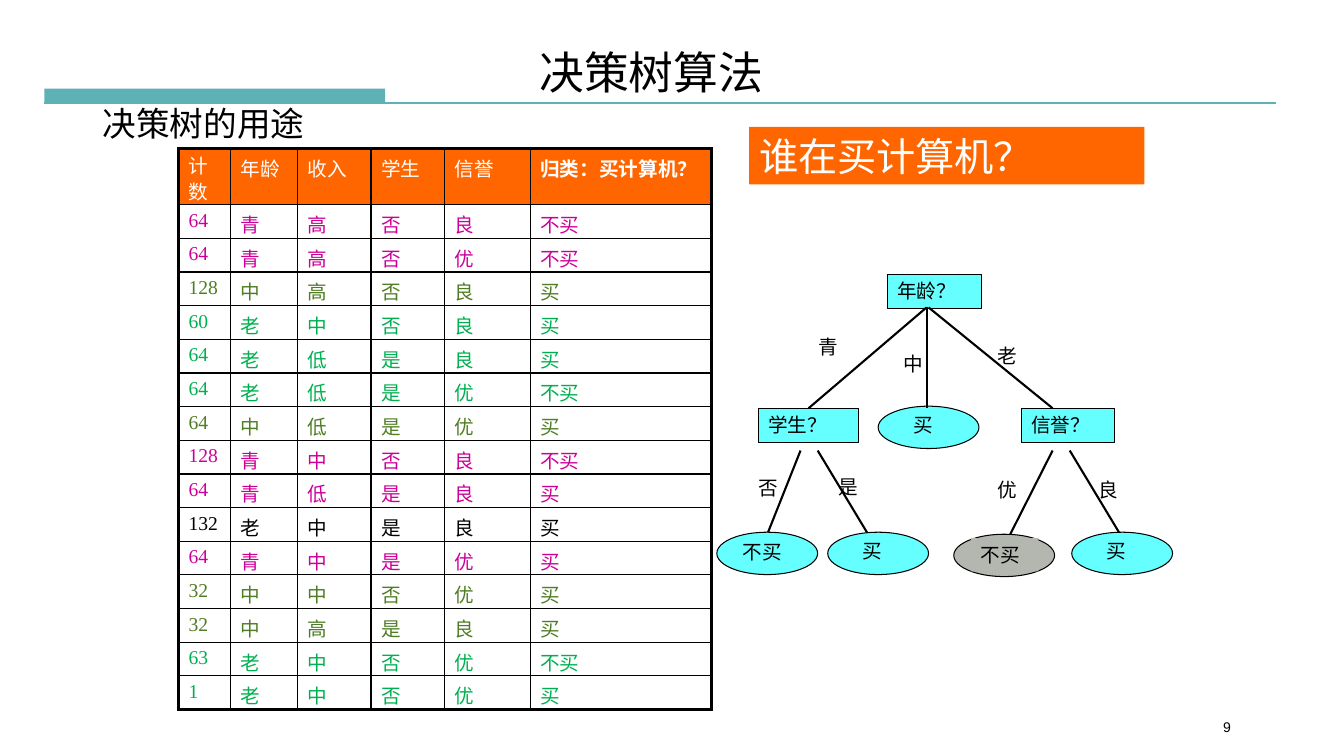
from dataclasses import dataclass

from lxml import etree
from pptx import Presentation
from pptx import util as u
from pptx.dml.color import RGBColor
from pptx.enum import shapes, text
from pptx.oxml import ns


@dataclass(frozen=True)
class Theme:
    teal: str = "5EB2B6"
    orange: str = "FF6600"
    cyan: str = "66FFFF"
    grey: str = "B4B6B0"
    black: str = "000000"
    white: str = "FFFFFF"
    young: str = "CC0099"
    middle: str = "4F7D24"
    old: str = "00B050"
    sans: str = "Arial"
    serif: str = "Times New Roman"
    title: float = 32
    banner: float = 28
    subtitle: float = 24
    body: float = 14
    footer: float = 10
    outline: float = 0.75
    inner: float = 1
    branch: float = 1.5
    outer: float = 2.25


THEME = Theme()
COLUMNS, ROWS = 13.33, 7.5
HEADINGS = "计数 年龄 收入 学生 信誉 归类：买计算机？".split()
RECORDS = [record.split() for record in (
    "64 青 高 否 良 不买", "64 青 高 否 优 不买", "128 中 高 否 良 买",
    "60 老 中 否 良 买", "64 老 低 是 良 买", "64 老 低 是 优 不买",
    "64 中 低 是 优 买", "128 青 中 否 良 不买", "64 青 低 是 良 买",
    "132 老 中 是 良 买", "64 青 中 是 优 买", "32 中 中 否 优 买",
    "32 中 高 是 良 买", "63 老 中 否 优 不买", "1 老 中 否 优 买")]
AGE_COLORS = {"青": THEME.young, "中": THEME.middle, "老": THEME.old}


def write(frame, words, size=THEME.body, color=THEME.black, font=THEME.sans,
          bold=False, align=text.PP_ALIGN.LEFT, spacing=None):
    paragraph = frame.paragraphs[0]
    paragraph.alignment = align
    paragraph.line_spacing = spacing
    run = paragraph.add_run()
    run.text = words
    run.font.size = u.Pt(size)
    run.font.name = font
    run.font.bold = bold
    run.font.color.rgb = RGBColor.from_string(color)


class Board:
    def __init__(self, deck, theme):
        self.theme = theme
        self.column = deck.slide_width / COLUMNS
        self.row = deck.slide_height / ROWS
        self.shapes = deck.slides.add_slide(deck.slide_layouts[6]).shapes

    def grid(self, *lengths):
        return [round(n * (self.row if i % 2 else self.column))
                for i, n in enumerate(lengths)]

    def label(self, words, *place, wrap=False, **style):
        frame = self.shapes.add_textbox(*self.grid(*place)).text_frame
        frame.word_wrap = wrap
        write(frame, words, **style)

    def block(self, *place, fill, words="", oval=False, outlined=True, **style):
        kind = shapes.MSO_SHAPE.OVAL if oval else shapes.MSO_SHAPE.RECTANGLE
        block = self.shapes.add_shape(kind, *self.grid(*place))
        block.shadow.inherit = False
        block.fill.solid()
        block.fill.fore_color.rgb = RGBColor.from_string(fill)
        if outlined:
            block.line.color.rgb = RGBColor.from_string(self.theme.black)
            block.line.width = u.Pt(self.theme.outline)
        else:
            block.line.fill.background()
        if words:
            block.text_frame.word_wrap = True
            block.text_frame.vertical_anchor = text.MSO_ANCHOR.TOP
            write(block.text_frame, words, **style)
        return block

    def line(self, *ends, color=THEME.black, target=None):
        line = self.shapes.add_connector(
            shapes.MSO_CONNECTOR.STRAIGHT, *self.grid(*ends))
        line.line.color.rgb = RGBColor.from_string(color)
        line.line.width = u.Pt(self.theme.branch)
        etree.SubElement(line._element.spPr, ns.qn("a:effectLst"))
        if target is not None:
            line.end_connect(target, 0)

    def leaf(self, left, top, answer, inset, drop, fill=THEME.cyan):
        self.block(left, top, 1, 0.42, fill=fill, oval=True)
        place = left + inset, top + drop, 0.67, 0.33
        if fill == self.theme.cyan:
            self.label(answer, *place, wrap=True)
        else:
            self.block(*place, fill=fill, words=answer, outlined=False)

    def border(self, cell, widths):
        properties = cell._tc.get_or_add_tcPr()
        for side, width in zip("LRTB", widths):
            edge = etree.SubElement(properties, ns.qn(f"a:ln{side}"),
                                    w=str(u.Pt(width)))
            paint = etree.SubElement(edge, ns.qn("a:solidFill"))
            etree.SubElement(paint, ns.qn("a:srgbClr"), val=self.theme.black)

    def records(self, left, top, height, heading, widths):
        theme = self.theme
        last_row, last_column = len(RECORDS), len(HEADINGS) - 1
        table = self.shapes.add_table(
            last_row + 1, last_column + 1,
            *self.grid(left, top, sum(widths), height)).table
        table.first_row = table.horz_banding = False
        for column, width in zip(table.columns, widths):
            column.width = round(width * self.column)
        heights = [heading] + [(height - heading) / last_row] * last_row
        for row, share in zip(table.rows, heights):
            row.height = round(share * self.row)
        for r, record in enumerate([HEADINGS] + RECORDS):
            if r == 0:
                color = theme.white
            else:
                color = theme.black if record[0] == "132" else AGE_COLORS[record[1]]
            for c, words in enumerate(record):
                cell = table.cell(r, c)
                edges = c == 0, c == last_column, r == 0, r == last_row
                self.border(cell, [theme.outer if edge else theme.inner
                                   for edge in edges])
                cell.margin_bottom = 0
                if r == 0:
                    cell.fill.solid()
                    cell.fill.fore_color.rgb = RGBColor.from_string(theme.orange)
                else:
                    cell.fill.background()
                write(cell.text_frame, words, color=color, font=theme.serif,
                      bold=r == 0 and c == last_column,
                      spacing=0.9 if r == c == 0 else None)


def main():
    deck = Presentation()
    deck.slide_width, deck.slide_height = u.Inches(COLUMNS), u.Inches(ROWS)
    board = Board(deck, THEME)

    board.block(0.44, 0.88, 3.38, 0.14, fill=THEME.teal, outlined=False)
    board.line(0.44, 1.02, 12.66, 1.02, color=THEME.teal)
    board.records(1.77, 1.47, 5.57, 0.56, [0.52, 0.66, 0.73, 0.73, 0.85, 1.8])
    board.block(7.43, 1.26, 3.92, 0.57, fill=THEME.orange, outlined=False,
                words="谁在买计算机？", size=THEME.banner, color=THEME.white)

    questions = {}
    for words, left, top, width in (("年龄？", 8.8, 2.72, 0.94),
                                    ("学生？", 7.52, 4.05, 1),
                                    ("信誉？", 10.13, 4.05, 0.92)):
        questions[words] = board.block(left, top, width, 0.34,
                                       fill=THEME.cyan, words=words)
    board.leaf(8.71, 4.03, "买", 0.25, 0.02)

    board.line(9.19, 3.05, 8.02, 4.05, target=questions["学生？"])
    for start, end in ((9.19, 9.19), (9.21, 10.44)):
        board.line(start, 3.05, end, 4.05)
    for start, end in ((7.94, 7.61), (8.11, 8.61), (10.44, 10.02), (10.61, 11.11)):
        board.line(start, 4.47, end, 5.3)
    for words, left, top in (("青", 8.02, 3.27), ("中", 8.86, 3.44),
                             ("老", 9.8, 3.36), ("否", 7.42, 4.67),
                             ("是", 8.22, 4.66), ("优", 9.8, 4.69),
                             ("良", 10.8, 4.69)):
        board.label(words, left, top, 0.4, 0.33)

    board.leaf(7.11, 5.28, "不买", 0.16, 0.03)
    for left in (10.63, 8.21):
        board.leaf(left, 5.28, "买", 0.25, 0.02)
    board.leaf(9.46, 5.3, "不买", 0.17, 0.04, fill=THEME.grey)

    board.label("决策树的用途", 0.92, 0.97, 2.2, 0.5, size=THEME.subtitle)
    board.label("决策树算法", 5.25, 0.39, 2.45, 0.64, size=THEME.title)
    board.label("9", 11.56, 7.08, 1.22, 0.29, wrap=True, size=THEME.footer,
                align=text.PP_ALIGN.CENTER)
    deck.save("out.pptx")


if __name__ == "__main__":
    main()
